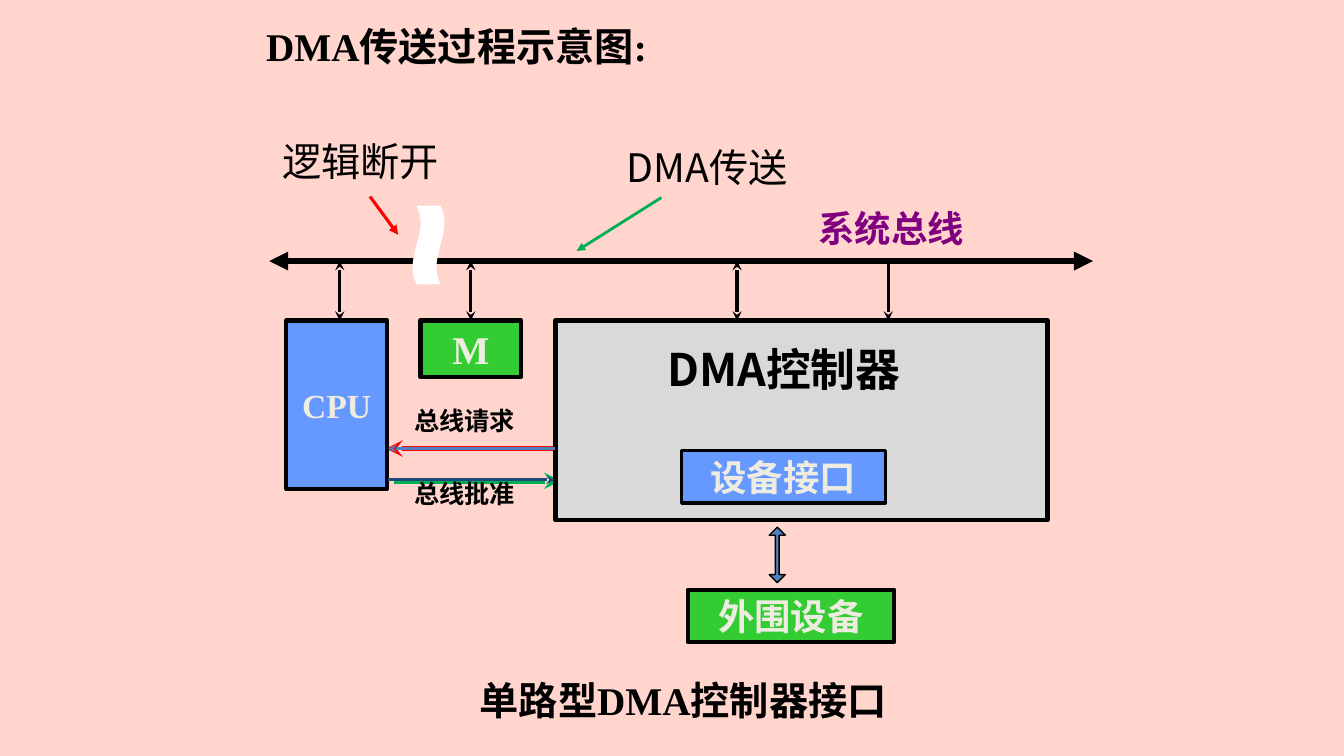
from lxml import etree
from pptx import Presentation
from pptx.dml.color import RGBColor
from pptx.enum.shapes import MSO_CONNECTOR, MSO_SHAPE
from pptx.enum.text import MSO_ANCHOR, PP_ALIGN
from pptx.oxml.ns import qn
from pptx.util import Inches, Pt

STRAIGHT = MSO_CONNECTOR.STRAIGHT
RECT, WAVE, UP_DOWN = MSO_SHAPE.RECTANGLE, MSO_SHAPE.WAVE, MSO_SHAPE.UP_DOWN_ARROW
MIDDLE = MSO_ANCHOR.MIDDLE
LEFT, CENTER = PP_ALIGN.LEFT, PP_ALIGN.CENTER

SANS = "Noto Sans CJK SC"
SERIF = "Times New Roman"
COLORS = {
    "background": "FFD5CD",
    "black": "000000",
    "white": "FFFFFF",
    "cream": "EEECE1",
    "red": "FF0000",
    "green": "00B050",
    "purple": "800080",
    "blue": "6699FF",
    "lime": "33CC33",
    "gray": "D9D9D9",
    "steel": "4F81BD",
    "navy": "1F497D",
}


def rgb(name):
    return RGBColor.from_string(COLORS[name])


def place(shape, box):
    shape.left, shape.top, shape.width, shape.height = map(Inches, box)


def set_text(shape, text, size, font=SANS, color="black", bold=True, align=LEFT):
    tf = shape.text_frame
    tf.text = text
    tf.word_wrap = True
    tf.vertical_anchor = MIDDLE
    p = tf.paragraphs[0]
    p.alignment = align
    p.space_before = Pt(0)
    r = p.runs[0]
    r.font.size = Pt(size)
    r.font.bold = bold
    r.font.color.rgb = rgb(color)
    r.font.name = font
    etree.SubElement(r.font._element, qn("a:ea"), typeface=SANS)


def add_label(s, box, text, size, **style):
    tb = s.shapes.add_textbox(*map(Inches, box))
    set_text(tb, text, size, **style)


def add_block(s, kind, box, fill, line=None, width=3):
    sp = s.shapes.add_shape(kind, *map(Inches, box))
    sp.shadow.inherit = False
    sp.fill.solid()
    sp.fill.fore_color.rgb = rgb(fill)
    if line:
        sp.line.color.rgb = rgb(line)
        sp.line.width = Pt(width)
    else:
        sp.line.fill.background()
    return sp


def add_unit(s, box, fill, text, size, font=SANS, width=3):
    sp = add_block(s, RECT, box, fill, "black", width)
    set_text(sp, text, size, font=font, color="cream", align=CENTER)


def add_arrow(s, start, end, color, width, head=None, tail=None):
    cn = s.shapes.add_connector(STRAIGHT, *map(Inches, start + end))
    cn.line.color.rgb = rgb(color)
    cn.line.width = Pt(width)
    ln = cn.line._get_or_add_ln()
    for tag, kind in (("a:headEnd", head), ("a:tailEnd", tail)):
        if kind:
            etree.SubElement(ln, qn(tag), type=kind)
    etree.SubElement(cn._element.spPr, qn("a:effectLst"))


def main():
    prs = Presentation()
    prs.slide_width, prs.slide_height = Inches(13.33), Inches(7.5)
    s = prs.slides.add_slide(prs.slide_layouts[5])
    s.background.fill.solid()
    s.background.fill.fore_color.rgb = rgb("background")

    place(s.shapes.title, (2.54, 0.17, 5.91, 0.57))
    set_text(s.shapes.title, "DMA传送过程示意图:", 28, font=SERIF)

    add_arrow(s, (3.67, 1.95), (3.95, 2.33), "red", 2.25, tail="triangle")
    add_label(s, (2.7, 1.31, 3.07, 0.57), "逻辑断开", 28, bold=False)
    add_arrow(s, (6.56, 1.96), (5.72, 2.49), "green", 2, tail="triangle")
    add_label(s, (6.12, 1.37, 2.59, 0.57), "DMA传送", 28, bold=False)

    add_arrow(s, (5.49, 4.45), (3.83, 4.45), "red", 4, tail="stealth")
    add_arrow(s, (5.56, 4.77), (3.91, 4.77), "green", 4, head="stealth")

    add_arrow(s, (2.67, 2.59), (10.84, 2.59), "black", 4.5, "triangle", "triangle")
    add_label(s, (7.63, 2, 2.42, 0.53), "系统总线", 26, color="purple", align=CENTER)

    add_unit(s, (2.84, 3.18, 1, 1.67), "blue", "CPU", 24, SERIF)
    add_unit(s, (4.17, 3.18, 1, 0.56), "lime", "M", 28, SERIF)
    add_block(s, RECT, (5.51, 3.18, 4.88, 1.98), "gray", "black")
    add_unit(s, (6.82, 5.85, 2.05, 0.52), "lime", "外围设备", 26)
    add_unit(s, (6.76, 4.47, 2.02, 0.52), "blue", "设备接口", 26, width=2.25)
    add_label(s, (6.29, 3.34, 2.97, 0.63), "DMA控制器", 32, align=CENTER)

    for x, head in ((3.37, "stealth"), (4.67, "stealth"), (7.31, "stealth"), (8.81, None)):
        add_arrow(s, (x, 2.59), (x, 3.18), "black", 2.25, head, "stealth")

    link = add_block(s, UP_DOWN, (7.63, 5.23, 0.16, 0.55), "steel", "black", 1)
    link.adjustments[0], link.adjustments[1] = 0.5, 0.233

    add_arrow(s, (5.5, 4.45), (3.85, 4.45), "steel", 2, tail="stealth")
    add_arrow(s, (5.5, 4.76), (3.85, 4.76), "navy", 2, head="stealth")
    add_label(s, (4.01, 3.97, 1.57, 0.4), "总线请求", 18)
    add_label(s, (4.01, 4.7, 1.73, 0.4), "总线批准", 18)

    add_label(s, (4.66, 6.66, 4.45, 0.57), "单路型DMA控制器接口", 28, font=SERIF)

    gap = add_block(s, WAVE, (3.86, 2.27, 0.78, 0.32), "white")
    gap.adjustments[0], gap.adjustments[1] = 0.13, 0
    gap.rotation = 270

    prs.save("out.pptx")


if __name__ == "__main__":
    main()
